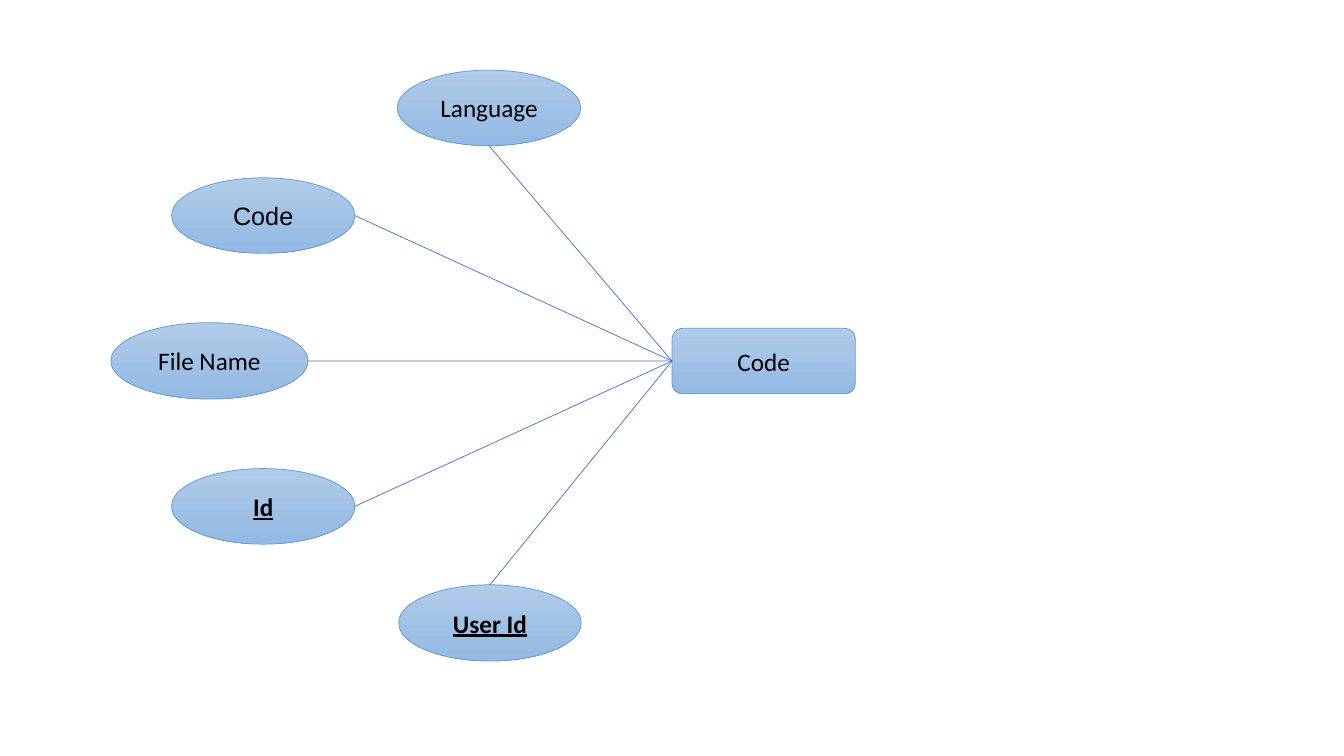
from lxml import etree
from pptx import Presentation
from pptx.dml.color import RGBColor
from pptx.enum.shapes import MSO_CONNECTOR, MSO_SHAPE
from pptx.enum.text import MSO_ANCHOR, PP_ALIGN
from pptx.oxml.ns import qn
from pptx.util import Pt

COLORS = {
    "gradient_top": "B1CBE9",
    "gradient_bottom": "93B9E4",
    "outline": "5B9BD5",
    "link": "4472C4",
    "text": "000000",
}
ENTITY_BOX = (480, 234.5, 131, 46.8)
ENTITY_LEFT_SIDE = 1

# label, box, side where the link starts, text format
ATTRIBUTES = [
    ("Language", (283.8, 50.1, 131, 54), "bottom", {}),
    ("Code", (122.5, 127, 131, 54), "right", {"font": "Arial"}),
    ("File Name", (79.2, 230.5, 140.8, 54.6), "right", {}),
    ("Id", (122.5, 334.7, 131, 54), "right", {"key": True}),
    ("User Id", (284.8, 417.7, 130.4, 54.5), "top", {"key": True}),
]


def rgb(name):
    return RGBColor.from_string(COLORS[name])


def write_text(shape, text, font="Calibri", size=18, key=False):
    """Centre the text in the shape; a key is bold and underlined."""
    frame = shape.text_frame
    frame.word_wrap = True
    frame.vertical_anchor = MSO_ANCHOR.MIDDLE
    paragraph = frame.paragraphs[0]
    paragraph.alignment = PP_ALIGN.CENTER
    run = paragraph.add_run()
    run.text = text
    run.font.name = font
    run.font.size = Pt(size)
    run.font.bold = run.font.underline = key
    run.font.color.rgb = rgb("text")


def add_node(slide, kind, box, text, **text_format):
    shape = slide.shapes.add_shape(kind, *map(Pt, box))
    shape.shadow.inherit = False
    shape.fill.gradient()
    shape.fill.gradient_angle = 270
    for stop, name in zip(shape.fill.gradient_stops,
                          ("gradient_top", "gradient_bottom")):
        stop.color.rgb = rgb(name)
    shape.line.color.rgb = rgb("outline")
    shape.line.width = Pt(0.5)
    write_text(shape, text, **text_format)
    return shape


def add_link(slide, box, side, entity):
    """Join the given side of an attribute's box to the entity."""
    left, top, width, height = box
    x, y = {
        "top": (left + width / 2, top),
        "right": (left + width, top + height / 2),
        "bottom": (left + width / 2, top + height),
    }[side]
    link = slide.shapes.add_connector(
        MSO_CONNECTOR.STRAIGHT, Pt(x), Pt(y), entity.left, entity.top)
    link.end_connect(entity, ENTITY_LEFT_SIDE)
    link.line.color.rgb = rgb("link")
    link.line.width = Pt(0.5)
    etree.SubElement(link._element.spPr, qn("a:effectLst"))


def build_entity_diagram(slide):
    entity = add_node(slide, MSO_SHAPE.ROUNDED_RECTANGLE, ENTITY_BOX, "Code")
    for label, box, side, text_format in ATTRIBUTES:
        add_node(slide, MSO_SHAPE.OVAL, box, label, **text_format)
        add_link(slide, box, side, entity)


def main():
    presentation = Presentation()
    presentation.slide_width = Pt(960)
    presentation.slide_height = Pt(540)
    blank_layout = presentation.slide_layouts[6]
    build_entity_diagram(presentation.slides.add_slide(blank_layout))
    presentation.save("out.pptx")


if __name__ == "__main__":
    main()
